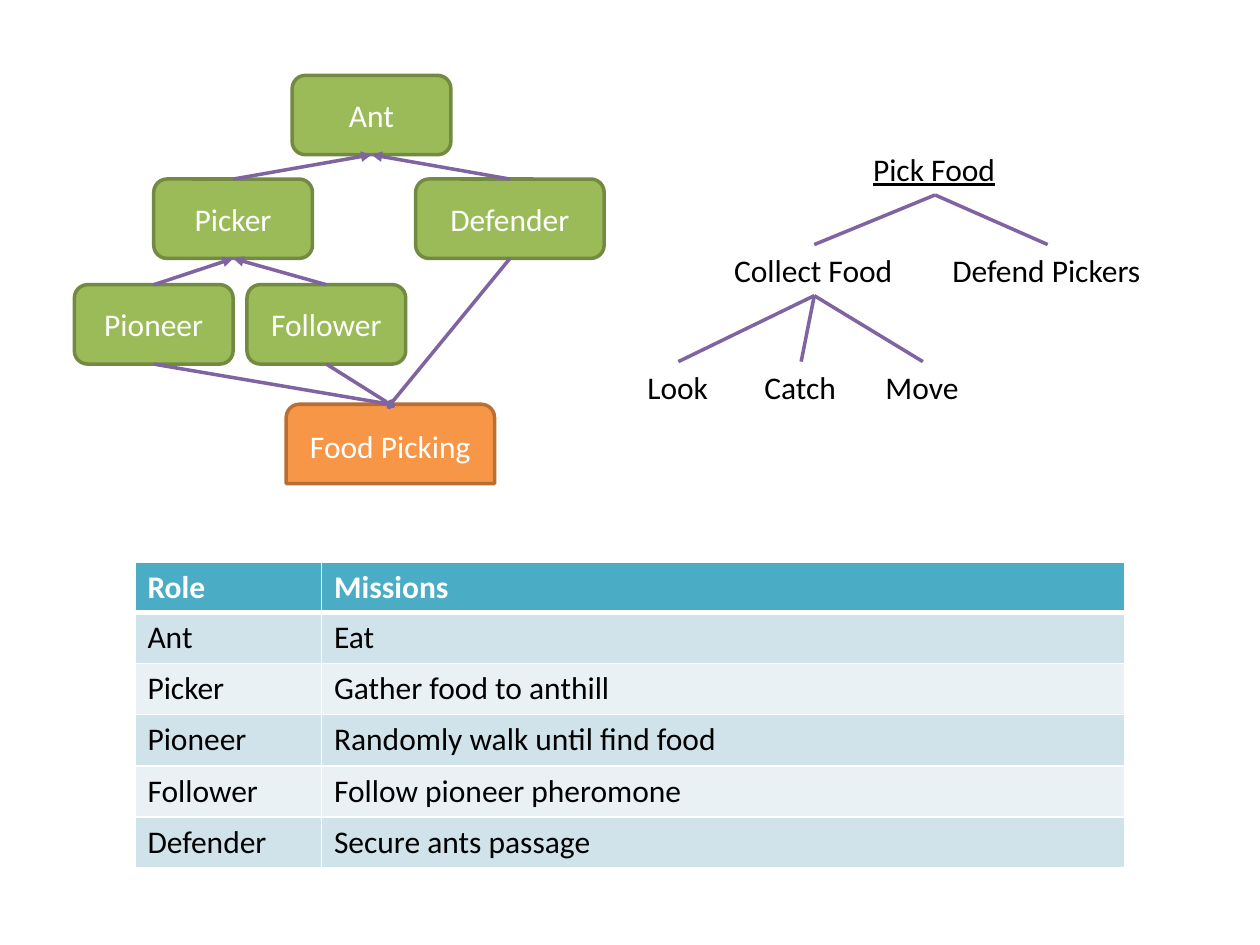
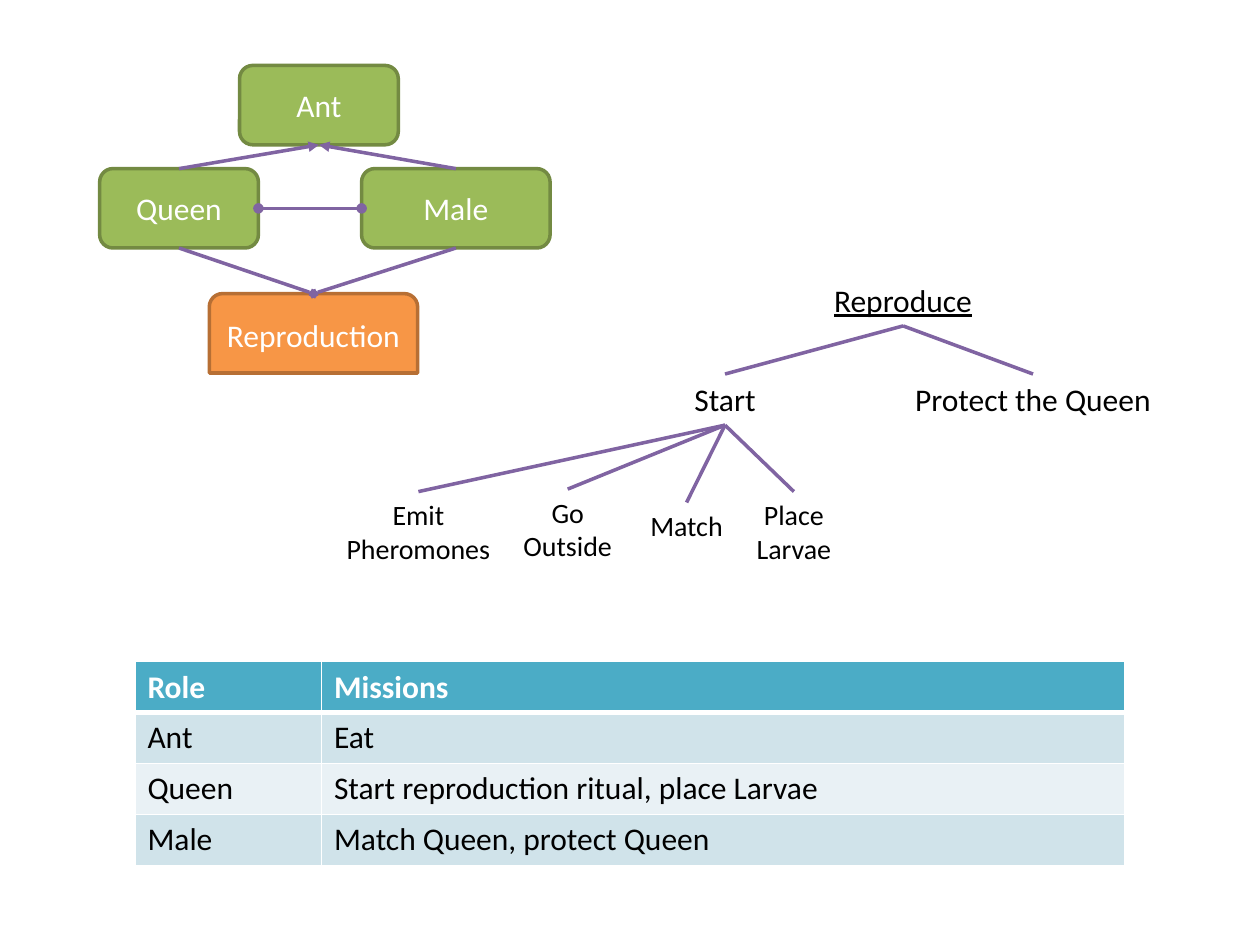
from lxml.etree import SubElement
from pptx import Presentation
from pptx.dml.color import RGBColor
from pptx.enum.shapes import MSO_CONNECTOR, MSO_SHAPE
from pptx.enum.text import MSO_ANCHOR, MSO_AUTO_SIZE, PP_ALIGN
from pptx.oxml.ns import qn
from pptx.util import Cm, Pt

FONT = "Calibri"
WHITE, BLACK, PURPLE = "FFFFFF", "000000", "8064A2"
HEADER, BANDS = "4BACC6", ("D0E3EA", "E9F1F5")
ROLE = {"kind": MSO_SHAPE.ROUNDED_RECTANGLE, "fill": "9BBB59", "edge": "738A42"}
GOAL = {"kind": MSO_SHAPE.ROUND_2_SAME_RECTANGLE, "fill": "F79646", "edge": "B76F34"}
BOX_HEIGHT = 1.6
NARROW, WIDE, GOAL_WIDTH = 3.2, 3.8, 4.2
LABEL_HEIGHT = 1.03
TABLE_LEFT, COLUMNS = 2.72, (3.76, 16.2)
HEADER_HEIGHT, ROW_HEIGHT = 0.38, 1.03


def colour(value):
    """Turn a hex string into a colour."""
    return RGBColor.from_string(value)


def write(frame, text, ink, align=PP_ALIGN.LEFT, size=18, **extra):
    """Fill a text frame, one paragraph for each line of text."""
    frame.text = text
    look = {"name": FONT, "size": Pt(size), **extra}
    for paragraph in frame.paragraphs:
        paragraph.alignment = align
        for span in paragraph.runs:
            span.font.color.rgb = colour(ink)
            for name, value in look.items():
                setattr(span.font, name, value)


def add_box(page, text, left, top, width, style):
    """Add a box of the class diagram."""
    box = page.shapes.add_shape(style["kind"], Cm(left), Cm(top), Cm(width), Cm(BOX_HEIGHT))
    box.shadow.inherit = False
    box.fill.solid()
    box.fill.fore_color.rgb = colour(style["fill"])
    box.line.color.rgb = colour(style["edge"])
    box.line.width = Pt(2)
    box.text_frame.vertical_anchor = MSO_ANCHOR.MIDDLE
    write(box.text_frame, text, WHITE, PP_ALIGN.CENTER)
    return box


def add_label(page, text, left, top, width, height=LABEL_HEIGHT, **look):
    """Add a label of the goal tree."""
    label = page.shapes.add_textbox(Cm(left), Cm(top), Cm(width), Cm(height))
    frame = label.text_frame
    frame.word_wrap = False
    frame.auto_size = MSO_AUTO_SIZE.SHAPE_TO_FIT_TEXT
    write(frame, text, BLACK, **look)
    return label


def anchor(shape, side):
    """Give the middle point of one side of a shape."""
    across, down = {"top": (1, 0), "bottom": (1, 2), "left": (0, 1), "right": (2, 1)}[side]
    return shape.left + shape.width * across // 2, shape.top + shape.height * down // 2


def add_line(page, start, end, head=None, tail=None):
    """Add a line between two points, with an optional mark at each end."""
    line = page.shapes.add_connector(MSO_CONNECTOR.STRAIGHT, *start, *end)
    line.line.color.rgb = colour(PURPLE)
    line.line.width = Pt(2)
    properties = line._element.spPr
    for tag, mark in (("a:headEnd", head), ("a:tailEnd", tail)):
        if mark:
            SubElement(properties.find(qn("a:ln")), qn(tag), type=mark)
    SubElement(properties, qn("a:effectLst"))


def link_up(page, parent, children):
    """Point an arrow from each child box to the parent above it."""
    for child in children:
        add_line(page, anchor(child, "top"), anchor(parent, "bottom"), tail="triangle")


def link_goal(page, goal, members):
    """Join boxes to the goal below them, with a diamond at the goal."""
    for member in members:
        add_line(page, anchor(member, "bottom"), anchor(goal, "top"), tail="diamond")


def branch(page, parent, children):
    """Draw plain tree branches from a label to those below it."""
    for child in children:
        add_line(page, anchor(parent, "bottom"), anchor(child, "top"))


def set_borders(cell, top, bottom):
    """Give a cell white borders; top and bottom widths are in points."""
    properties = cell._tc.get_or_add_tcPr()
    for tag, width in (("lnL", 1), ("lnR", 1), ("lnT", top), ("lnB", bottom)):
        edge = SubElement(properties, qn(f"a:{tag}"), w=str(Pt(width)))
        SubElement(SubElement(edge, qn("a:solidFill")), qn("a:srgbClr"), val=WHITE)


def add_missions(page, top, missions):
    """Add the banded table of roles and their missions."""
    rows = [("Role", "Missions"), *missions]
    height = HEADER_HEIGHT + ROW_HEIGHT * len(missions)
    table = page.shapes.add_table(len(rows), len(COLUMNS), Cm(TABLE_LEFT), Cm(top),
                                  Cm(sum(COLUMNS)), Cm(height)).table
    for column, width in zip(table.columns, COLUMNS):
        column.width = Cm(width)
    for number, texts in enumerate(rows):
        first = number == 0
        table.rows[number].height = Cm(HEADER_HEIGHT if first else ROW_HEIGHT)
        for cell, text in zip(table.rows[number].cells, texts):
            set_borders(cell, 3 if number == 1 else 1, 3 if first else 1)
            cell.fill.solid()
            cell.fill.fore_color.rgb = colour(HEADER if first else BANDS[(number - 1) % 2])
            write(cell.text_frame, text, WHITE if first else BLACK, bold=first)


def food_page(page):
    """Build the slide on picking food."""
    goal = add_box(page, "Food Picking", 5.77, 8.15, GOAL_WIDTH, GOAL)
    ant = add_box(page, "Ant", 5.89, 1.52, NARROW, ROLE)
    picker = add_box(page, "Picker", 3.1, 3.61, NARROW, ROLE)
    pioneer = add_box(page, "Pioneer", 1.5, 5.74, NARROW, ROLE)
    follower = add_box(page, "Follower", 4.98, 5.74, NARROW, ROLE)
    defender = add_box(page, "Defender", 8.38, 3.61, WIDE, ROLE)
    link_goal(page, goal, (pioneer, follower, defender))
    link_up(page, picker, (pioneer, follower))
    link_up(page, ant, (picker, defender))

    root = add_label(page, "Pick Food", 17.35, 2.9, 3, underline=True)
    collect = add_label(page, "Collect Food", 14.55, 4.93, 3.73)
    defend = add_label(page, "Defend Pickers", 18.95, 4.93, 4.34)
    steps = [add_label(page, text, left, 7.29, width) for text, left, width in (
        ("Look", 12.8, 1.75), ("Catch", 15.16, 1.98), ("Move", 17.6, 2.01))]
    branch(page, root, (collect, defend))
    branch(page, collect, steps)

    add_missions(page, 11.33, [
        ("Ant", "Eat"),
        ("Picker", "Gather food to anthill"),
        ("Pioneer", "Randomly walk until find food"),
        ("Follower", "Follow pioneer pheromone"),
        ("Defender", "Secure ants passage"),
    ])


def reproduction_page(page):
    """Build the slide on reproduction."""
    goal = add_box(page, "Reproduction", 4.22, 5.92, GOAL_WIDTH, GOAL)
    ant = add_box(page, "Ant", 4.83, 1.32, NARROW, ROLE)
    queen = add_box(page, "Queen", 2.01, 3.4, NARROW, ROLE)
    male = add_box(page, "Male", 7.29, 3.4, WIDE, ROLE)
    link_goal(page, goal, (queen, male))
    link_up(page, ant, (queen, male))
    add_line(page, anchor(queen, "right"), anchor(male, "left"), head="oval", tail="oval")

    centred = {"align": PP_ALIGN.CENTER}
    root = add_label(page, "Reproduce", 16.54, 5.54, 3.33, underline=True, **centred)
    start = add_label(page, "Start", 13.74, 7.54, 1.75, **centred)
    protect = add_label(page, "Protect the Queen", 18.16, 7.54, 5.33, **centred)
    steps = [add_label(page, *step, size=16, **centred) for step in (
        ("Emit\nPheromones", 6.71, 9.91, 3.45, 1.63),
        ("Go\nOutside", 10.29, 9.86, 2.31, 1.63),
        ("Match", 12.85, 10.13, 1.98, 0.94),
        ("Place\nLarvae", 14.99, 9.91, 2.03, 1.63))]
    branch(page, root, (start, protect))
    branch(page, start, steps)

    add_missions(page, 13.34, [
        ("Ant", "Eat"),
        ("Queen", "Start reproduction ritual, place Larvae"),
        ("Male", "Match Queen, protect Queen"),
    ])


def main():
    """Build and save the deck."""
    deck = Presentation()
    deck.slide_width, deck.slide_height = Cm(25.4), Cm(19.05)
    for build in (food_page, reproduction_page):
        build(deck.slides.add_slide(deck.slide_layouts[6]))
    deck.save("out.pptx")


main()
